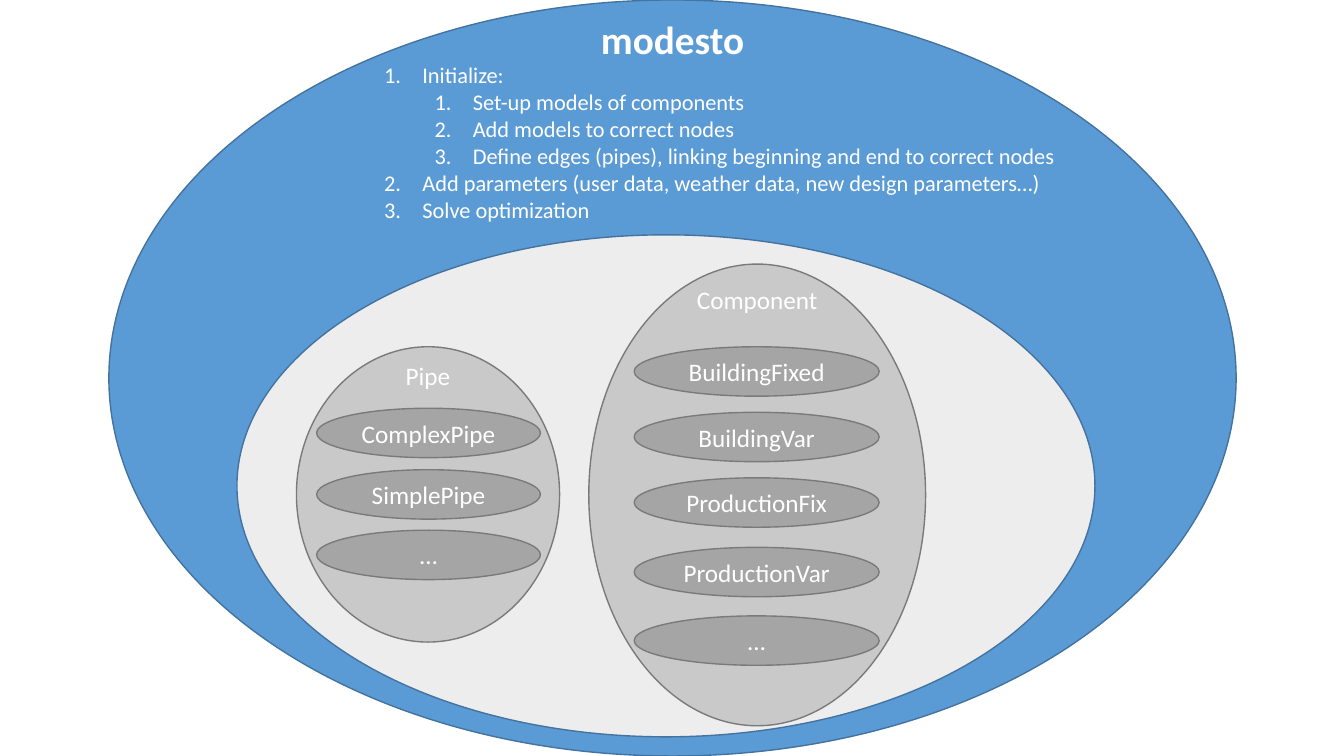
from lxml import etree
from pptx import Presentation
from pptx.dml.color import RGBColor
from pptx.enum.shapes import MSO_SHAPE
from pptx.enum.text import MSO_ANCHOR, PP_ALIGN
from pptx.oxml.ns import qn
from pptx.util import Inches, Pt

OVAL = MSO_SHAPE.OVAL
MIDDLE, TOP = MSO_ANCHOR.MIDDLE, MSO_ANCHOR.TOP
CENTER, LEFT = PP_ALIGN.CENTER, PP_ALIGN.LEFT
TITLE_ONLY = 5

STEPS = [
    (0, "Initialize:"),
    (1, "Set-up models of components"),
    (1, "Add models to correct nodes"),
    (1, "Define edges (pipes), linking beginning and end to correct nodes"),
    (0, "Add parameters (user data, weather data, new design parameters…)"),
    (0, "Solve optimization"),
]

# Class name, its oval, top of its label, left and width of its members, members
CLASSES = [
    ("Component", (5.84, 2.62, 3.34, 4.58), 2.82, 6.29, 2.43,
     [("BuildingFixed", 3.44), ("BuildingVar", 4.09), ("ProductionFix", 4.74),
      ("ProductionVar", 5.43), ("…", 6.11)]),
    ("Pipe", (2.94, 3.44, 2.61, 2.93), 3.57, 3.14, 2.22,
     [("ComplexPipe", 4.05), ("SimplePipe", 4.66), ("…", 5.26)]),
]
MEMBER_HEIGHT = 0.49
LABEL_HEIGHT = 0.3


def color(value):
    return RGBColor.from_string(value)


class Diagram:
    font = "Calibri"
    ink = "FFFFFF"
    blue, blue_edge = "5B9BD5", "43739E"
    pale, mid, dark, gray_edge = "EDEDED", "C9C9C9", "A5A5A5", "7A7A7A"

    def __init__(self, slide):
        self.slide = slide

    def style_text(self, frame, size, align=CENTER, anchor=MIDDLE, bold=False):
        frame.word_wrap = True
        frame.vertical_anchor = anchor
        frame.margin_left = frame.margin_right = 0
        frame.margin_top = frame.margin_bottom = 0
        for paragraph in frame.paragraphs:
            paragraph.alignment = align
            for run in paragraph.runs:
                run.font.name = self.font
                run.font.size = Pt(size)
                run.font.bold = bold
                run.font.color.rgb = color(self.ink)

    def oval(self, box, fill, edge, text=""):
        oval = self.slide.shapes.add_shape(OVAL, *map(Inches, box))
        oval.shadow.inherit = False
        oval.fill.solid()
        oval.fill.fore_color.rgb = color(fill)
        oval.line.color.rgb = color(edge)
        oval.line.width = Pt(1)
        if text:
            oval.text_frame.text = text
            self.style_text(oval.text_frame, 18)

    def label(self, box, text):
        label = self.slide.shapes.add_textbox(*map(Inches, box))
        label.text_frame.text = text
        self.style_text(label.text_frame, 18)

    def title(self, box, text):
        """Fill the title placeholder and bring it in front of the ovals."""
        title = self.slide.shapes.title
        title.left, title.top, title.width, title.height = map(Inches, box)
        title.text_frame.text = text
        self.style_text(title.text_frame, 28, bold=True)
        self.slide.shapes._spTree.append(title._element)

    def numbered_list(self, box, items):
        frame = self.slide.shapes.add_textbox(*map(Inches, box)).text_frame
        frame.text = "\n".join(text for _, text in items)
        self.style_text(frame, 16, LEFT, TOP)
        for paragraph, (level, _) in zip(frame.paragraphs, items):
            paragraph.level = level
            properties = paragraph._p.get_or_add_pPr()
            properties.set("marL", str(Inches(0.38 + 0.5 * level)))
            properties.set("indent", str(-Inches(0.38)))
            number = etree.SubElement(properties, qn("a:buAutoNum"))
            number.set("type", "arabicPeriod")

    def class_group(self, name, box, label_top, left, width, members):
        self.oval(box, self.mid, self.gray_edge)
        self.label((box[0], label_top, box[2], LABEL_HEIGHT), name)
        for member, top in members:
            self.oval((left, top, width, MEMBER_HEIGHT), self.dark,
                      self.gray_edge, member)


def main():
    presentation = Presentation()
    presentation.slide_width = Inches(13.33)
    presentation.slide_height = Inches(7.5)
    layout = presentation.slide_layouts[TITLE_ONLY]
    diagram = Diagram(presentation.slides.add_slide(layout))

    diagram.oval((1.08, 0, 11.18, 7.5), diagram.blue, diagram.blue_edge)
    diagram.title((4.67, 0.15, 4, 0.48), "modesto")
    diagram.numbered_list((3.81, 0.61, 7.2, 1.63), STEPS)
    diagram.oval((2.35, 2.33, 8.51, 4.98), diagram.pale, diagram.blue_edge)
    for group in CLASSES:
        diagram.class_group(*group)

    presentation.save("out.pptx")


if __name__ == "__main__":
    main()
